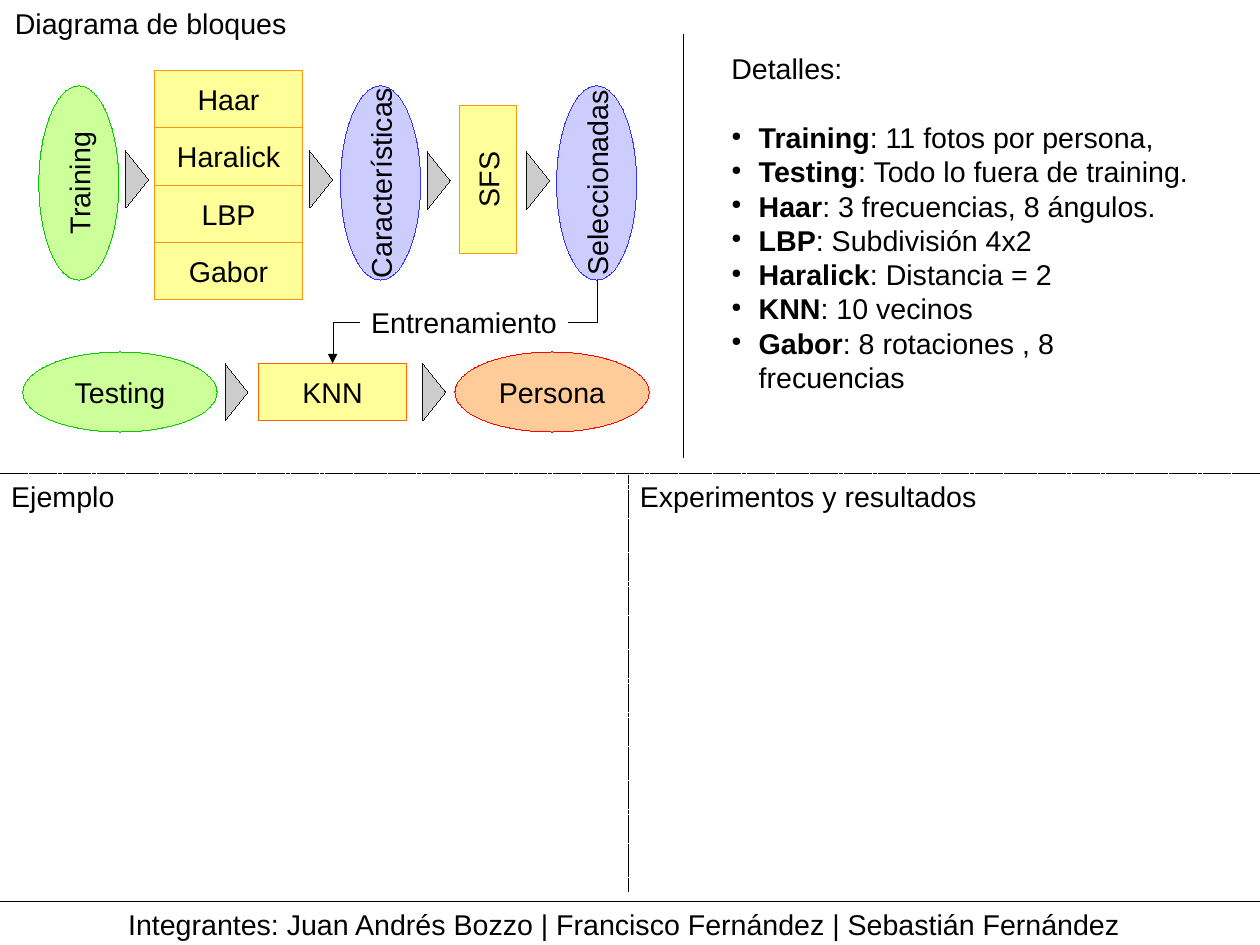
from lxml.etree import SubElement as Sub
from pptx import Presentation
from pptx.dml.color import RGBColor as RGB
from pptx.enum.dml import MSO_LINE as Dash
from pptx.enum.shapes import MSO_CONNECTOR as Conn, MSO_SHAPE as Kind
from pptx.enum.text import MSO_ANCHOR as Anchor, MSO_AUTO_SIZE as Auto, PP_ALIGN as Align
from pptx.oxml.ns import qn
from pptx.util import Inches, Pt

hues = {
    "ink": "000000", "white": "FFFFFF", "edge": "111111", "gray": "CCCCCC",
    "yellow": "FFFF99", "amber": "FF950E", "orange": "FF6600",
    "lime": "CCFF99", "green": "00CC00", "lilac": "CCCCFF", "blue": "3333FF",
    "peach": "FFCC99", "red": "FF0000",
}
face = {"name": "Arial", "size": Pt(18)}
tight = {"word_wrap": False, "auto_size": Auto.NONE}
pads = {"margin_left": Inches(0.1), "margin_right": Inches(0.1),
        "margin_top": Inches(0.05), "margin_bottom": Inches(0.05)}


def write(para, text, bold=False):
    run = para.add_run()
    run.text = text
    for key, val in {**face, "bold": bold}.items():
        setattr(run.font, key, val)
    run.font.color.rgb = RGB.from_string(hues["ink"])


def draw(kind, box, fill, edge, text="", turn=0):
    shape = slide.shapes.add_shape(kind, *map(Inches, box))
    shape.shadow.inherit = False
    shape.rotation = turn
    for part, hue in ((shape.fill, fill), (shape.line.fill, edge)):
        if hue:
            part.solid()
            part.fore_color.rgb = RGB.from_string(hues[hue])
        else:
            part.background()
    shape.line._get_or_add_ln().set("w", "0")
    frame = shape.text_frame
    for key, val in {**tight, **pads, "vertical_anchor": Anchor.MIDDLE}.items():
        setattr(frame, key, val)
    if text:
        frame.paragraphs[0].alignment = Align.CENTER
        write(frame.paragraphs[0], text)
    return shape


deck = Presentation()
deck.slide_width = Inches(28 / 2.54)
deck.slide_height = Inches(21 / 2.54)
slide = deck.slides.add_slide(deck.slide_layouts[5])

title = slide.shapes.title
title.left, title.top, title.width, title.height = map(Inches, (0.03, 0, 2.65, 0.38))
heads = [(title, "Diagrama de bloques")]
for left, wide, text in ((0, 1.1, "Ejemplo"), (5.5, 3.14, "Experimentos y resultados")):
    heads.append((slide.shapes.add_textbox(*map(Inches, (left, 4.14, wide, 0.38))), text))
for head, text in heads:
    for key, val in {**tight, **pads, "vertical_anchor": Anchor.TOP}.items():
        setattr(head.text_frame, key, val)
    para = head.text_frame.paragraphs[0]
    para.alignment = Align.LEFT
    write(para, text)

team = draw(Kind.RECTANGLE, (-0.2, 7.89, 11.4, 0.38), None, "ink",
            "Integrantes: Juan Andrés Bozzo | Francisco Fernández | Sebastián Fernández")
team.text_frame.word_wrap = True
team.text_frame.margin_right = Inches(0.18)

for row, text in enumerate(("Haar", "Haralick", "LBP", "Gabor")):
    draw(Kind.RECTANGLE, (1.35, 0.62 + 0.5 * row, 1.3, 0.5), "yellow", "amber", text)
draw(Kind.RECTANGLE, (3.62, 1.32, 1.3, 0.5), "yellow", "amber", "SFS", 270)
draw(Kind.RECTANGLE, (2.26, 3.18, 1.3, 0.5), "yellow", "orange", "KNN")

for left, top, fill, edge, text, turn in (
    (-0.16, 1.25, "lime", "green", "Training", 270),
    (2.48, 1.25, "lilac", "blue", "Características", 270),
    (4.37, 1.25, "lilac", "blue", "Seleccionadas", 270),
    (0.2, 3.08, "lime", "green", "Testing", 0),
    (3.98, 3.08, "peach", "red", "Persona", 0),
):
    draw(Kind.OVAL, (left, top, 1.7, 0.7), fill, edge, text, turn)

for left, top in ((1.1, 1.32), (2.71, 1.32), (3.74, 1.33), (4.61, 1.33), (1.97, 3.18), (3.7, 3.18)):
    arrow = draw(Kind.RIGHT_ARROW, (left, top, 0.2, 0.5), "gray", "edge")
    arrow.adjustments[0], arrow.adjustments[1] = 0, 1

lines = []
for kind, ends, dash in (
    (Conn.STRAIGHT, (0, 4.14, 11.02, 4.14), Dash.SQUARE_DOT),
    (Conn.STRAIGHT, (5.5, 4.16, 5.5, 7.8), Dash.SQUARE_DOT),
    (Conn.STRAIGHT, (5.98, 0.3, 5.98, 4), None),
    (Conn.ELBOW, (3.7, 1.66, 4.43, 3.97), None),
):
    line = slide.shapes.add_connector(kind, *map(Inches, ends))
    line.line.color.rgb = RGB.from_string(hues["ink"])
    line.line.dash_style = dash
    line.line._get_or_add_ln().set("w", "0")
    Sub(line._element.spPr, qn("a:effectLst"))
    lines.append(line)
bend = lines[-1]
bend._element.spPr.find(qn("a:xfrm")).set("rot", "5400000")
Sub(bend.line._get_or_add_ln(), qn("a:tailEnd"), type="triangle")

label = draw(Kind.RECTANGLE, (3.15, 2.62, 1.82, 0.38), "white", None, "Entrenamiento")
label.text_frame.vertical_anchor = Anchor.TOP

notes = slide.shapes.add_textbox(*map(Inches, (6.3, 0.4, 4.2, 2.9))).text_frame
for key, val in {**pads, "word_wrap": True}.items():
    setattr(notes, key, val)
write(notes.paragraphs[0], "Detalles:")
notes.paragraphs[0].space_after = Pt(21.6)
for term, text in (
    ("Training", "11 fotos por persona,"),
    ("Testing", "Todo lo fuera de training."),
    ("Haar", "3 frecuencias, 8 ángulos."),
    ("LBP", "Subdivisión 4x2"),
    ("Haralick", "Distancia = 2"),
    ("KNN", "10 vecinos"),
    ("Gabor", "8 rotaciones , 8 frecuencias"),
):
    para = notes.add_paragraph()
    write(para, term, True)
    write(para, ": " + text)
    props = para._p.get_or_add_pPr()
    props.set("marL", str(Inches(0.24)))
    props.set("indent", str(-Inches(0.24)))
    Sub(Sub(props, qn("a:buClr")), qn("a:srgbClr"), val=hues["ink"])
    Sub(props, qn("a:buSzPct"), val="45000")
    Sub(props, qn("a:buChar"), char="●")

deck.save("out.pptx")
